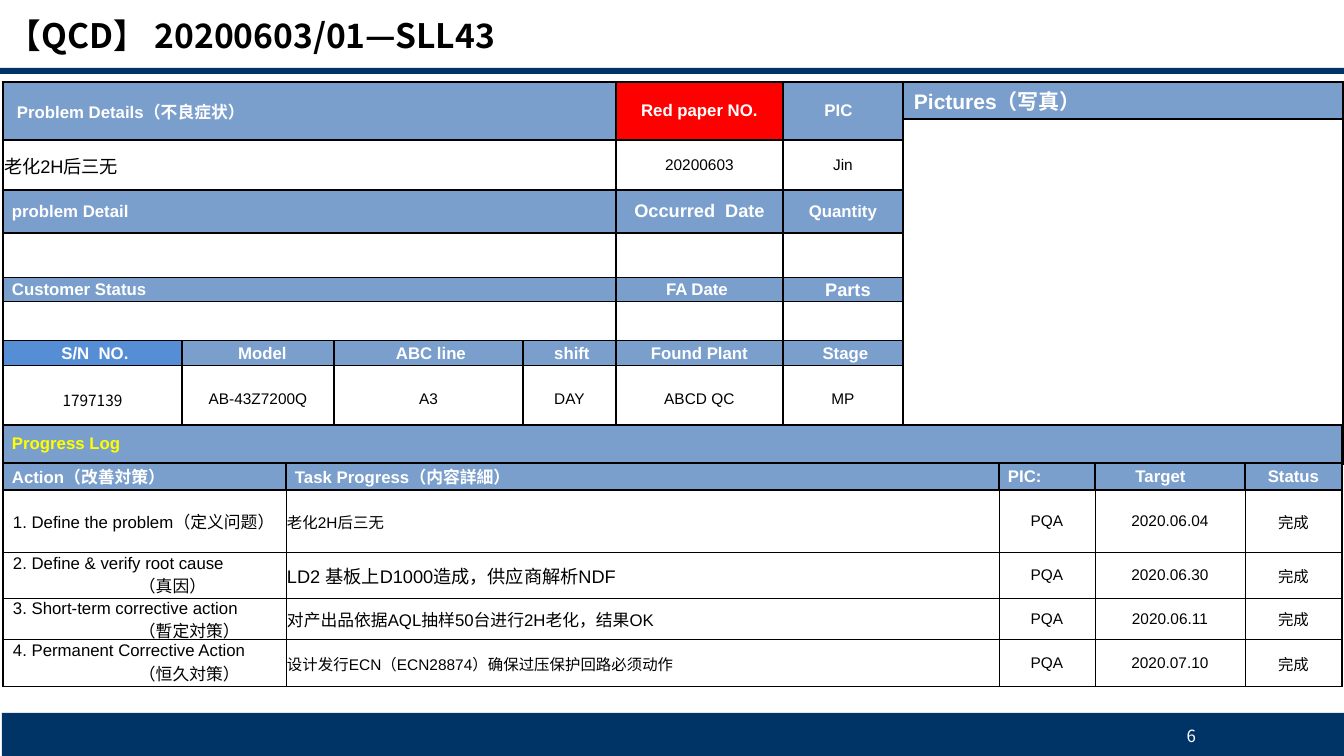
"""Builds a quality problem report slide with details, pictures and progress tables."""
from pptx import Presentation
from pptx.dml.color import RGBColor
from pptx.enum.shapes import MSO_SHAPE
from pptx.enum.text import MSO_ANCHOR, PP_ALIGN
from pptx.oxml.xmlchemy import OxmlElement
from pptx.util import Pt

PX = 914400 / 100.8
COLORS = {"navy": "003366", "blue": "7A9FCC", "bright": "558ED5", "red": "FF0000",
          "yellow": "FFFF00", "white": "FFFFFF", "black": "000000"}
RGB = {name: RGBColor.from_string(code) for name, code in COLORS.items()}
CJK = "Noto Sans CJK JP"
LEFT, MID, RIGHT = PP_ALIGN.LEFT, PP_ALIGN.CENTER, PP_ALIGN.RIGHT


def style(para, size, color, bold=False, align=LEFT, face="Arial"):
    para.alignment = align
    font = para.font
    font.size, font.bold, font.name = Pt(size), bold, face
    font.color.rgb = RGB[color]
    east = OxmlElement("a:ea")
    east.set("typeface", CJK)
    font._rPr.append(east)


def grid(left, top, widths, heights, rows, thin=False):
    frame = slide.shapes.add_table(
        len(heights), len(widths), round(left * PX), round(top * PX),
        round(sum(widths) * PX), round(sum(heights) * PX))
    table = frame.table
    table.first_row = table.horz_banding = False
    for col, width in zip(table.columns, widths):
        col.width = round(width * PX)
    last = len(widths) - 1
    for r, (height, (head, items)) in enumerate(zip(heights, rows)):
        table.rows[r].height = round(height * PX)
        span = len(widths) - len(items)
        cells = [items[0]] + [("", 11, LEFT, 0)] * span + items[1:]
        for c, (text, size, align, shift) in enumerate(cells):
            cell = table.cell(r, c)
            inset = 0 if head else 1
            cell.margin_left = round((inset + max(shift, 0)) * PX)
            cell.margin_right = round((inset + max(-shift, 0)) * PX)
            cell.margin_top, cell.margin_bottom = round(inset * PX), 0
            cell.vertical_anchor = MSO_ANCHOR.MIDDLE
            for side in "LRTB":
                outer = (side, c) in (("L", 0), ("R", last)) or (side, r) == ("T", 2)
                line = OxmlElement("a:ln" + side)
                line.set("w", str(Pt(0.5 if thin and r > 1 and not outer else 1)))
                paint = OxmlElement("a:solidFill")
                tint = OxmlElement("a:srgbClr")
                tint.set("val", COLORS["black"])
                paint.append(tint)
                line.append(paint)
                cell._tc.get_or_add_tcPr().append(line)
            cell.fill.solid()
            cell.fill.fore_color.rgb = RGB["blue" if head else "white"]
            cell.text = text
            for n, para in enumerate(cell.text_frame.paragraphs):
                style(para, size, "white" if head else "black", head, align)
                if n:
                    para._p.pPr.set("marL", str(round(126 * PX)))
        if span:
            table.cell(r, 0).merge(table.cell(r, span))
    return table


deck = Presentation()
deck.slide_width, deck.slide_height = round(1344 * PX), round(756 * PX)
slide = deck.slides.add_slide(deck.slide_layouts[6])

for box in ((2, 713, 1342, 43), (0, 68, 1344, 6)):
    bar = slide.shapes.add_shape(MSO_SHAPE.RECTANGLE, *(round(v * PX) for v in box))
    bar.shadow.inherit = False
    bar.fill.solid()
    bar.fill.fore_color.rgb = RGB["navy"]
    bar.line.fill.background()

labels = (
    ("6", (904, 716, 302, 40), 12, "white", False, RIGHT, True),
    ("【QCD】 20200603/01—SLL43", (-2, 10, 536, 50), 24, "black", True, LEFT, False),
)
for text, box, size, color, bold, align, wrap in labels:
    frame = slide.shapes.add_textbox(*(round(v * PX) for v in box)).text_frame
    frame.word_wrap = wrap
    frame.vertical_anchor = MSO_ANCHOR.MIDDLE if wrap else MSO_ANCHOR.TOP
    frame.text = text
    style(frame.paragraphs[0], size, color, bold, align, CJK)

blank = (False, [("", 11, LEFT, 0)] * 3)
names = (("S/N  NO.", 5), ("Model", 9), ("ABC line", 5),
         ("shift", 5), ("Found Plant", 0), ("Stage", 5))
found = ("1797139", "AB-43Z7200Q", "A3", "DAY", "ABCD QC", "MP")
facts = grid(3, 82, (179, 152, 189, 93, 167, 120), (58, 50, 43, 45, 24, 39, 25, 66), [
    (True, [("Problem Details（不良症状）", 12, LEFT, 14),
            ("Red paper NO.", 12, MID, 0), ("PIC", 12, MID, -9)]),
    (False, [("老化2H后三无", 13, LEFT, 0), ("20200603", 11, MID, 0), ("Jin", 11, MID, 0)]),
    (True, [("problem Detail", 12, LEFT, 9),
            ("Occurred  Date", 13, MID, 0), ("Quantity", 12, MID, 0)]),
    blank,
    (True, [("Customer Status", 12, LEFT, 9),
            ("FA Date", 12, MID, -5), ("Parts", 13, MID, 10)]),
    blank,
    (True, [(name, 12, MID, shift) for name, shift in names]),
    (False, [(value, 11, MID, 0) for value in found]),
])
facts.cell(0, 4).fill.fore_color.rgb = RGB["red"]
facts.cell(6, 0).fill.fore_color.rgb = RGB["bright"]
facts.cell(7, 0).text_frame.paragraphs[0].font.name = CJK

grid(903, 82, (440,), (37, 345), [
    (True, [("Pictures（写真）", 15, LEFT, 11)]),
    (False, [("", 11, LEFT, 0)]),
])

steps = (
    ("1. Define the problem（定义问题）", "老化2H后三无", 11, "2020.06.04"),
    ("2. Define & verify root cause\n（真因）",
     "LD2 基板上D1000造成，供应商解析NDF", 13, "2020.06.30"),
    ("3. Short-term corrective action\n（暫定対策）",
     "对产出品依据AQL抽样50台进行2H老化，结果OK", 12, "2020.06.11"),
    ("4. Permanent Corrective Action\n（恒久対策）",
     "设计发行ECN（ECN28874）确保过压保护回路必须动作", 11, "2020.07.10"),
)
log = grid(3, 425, (283, 713, 96, 150, 97), (38, 27, 62, 46, 41, 47), [
    (True, [("Progress Log", 12, LEFT, 9)]),
    (True, [("Action（改善対策）", 12, LEFT, 9), ("Task Progress（内容詳細）", 12, LEFT, 9),
            ("PIC:", 12, LEFT, 9), ("Target", 12, MID, -19), ("Status", 12, MID, 0)]),
    *((False, [(step, 12, LEFT, 9), (task, size, LEFT, 0), ("PQA", 11, MID, 0),
               (date, 11, MID, 0), ("完成", 11, MID, 0)])
      for step, task, size, date in steps),
], thin=True)
log.cell(0, 0).text_frame.paragraphs[0].font.color.rgb = RGB["yellow"]

deck.save("out.pptx")
